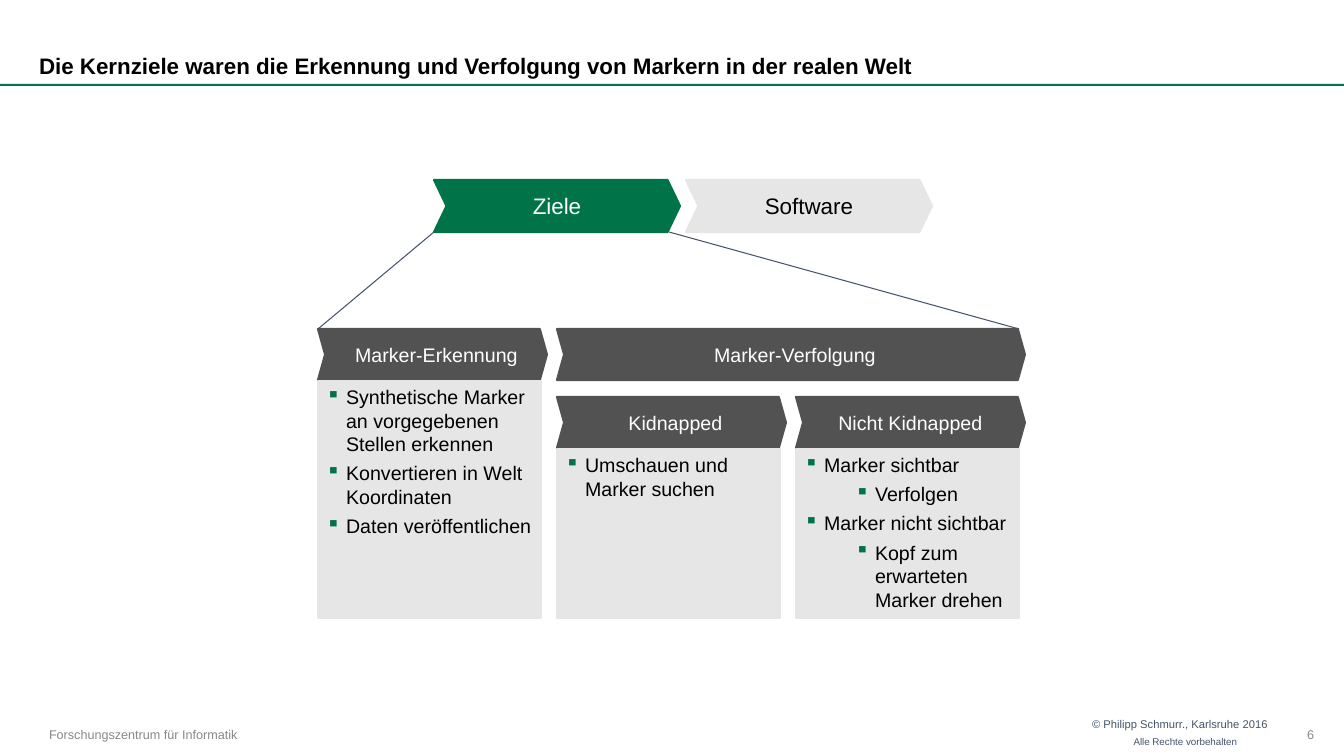
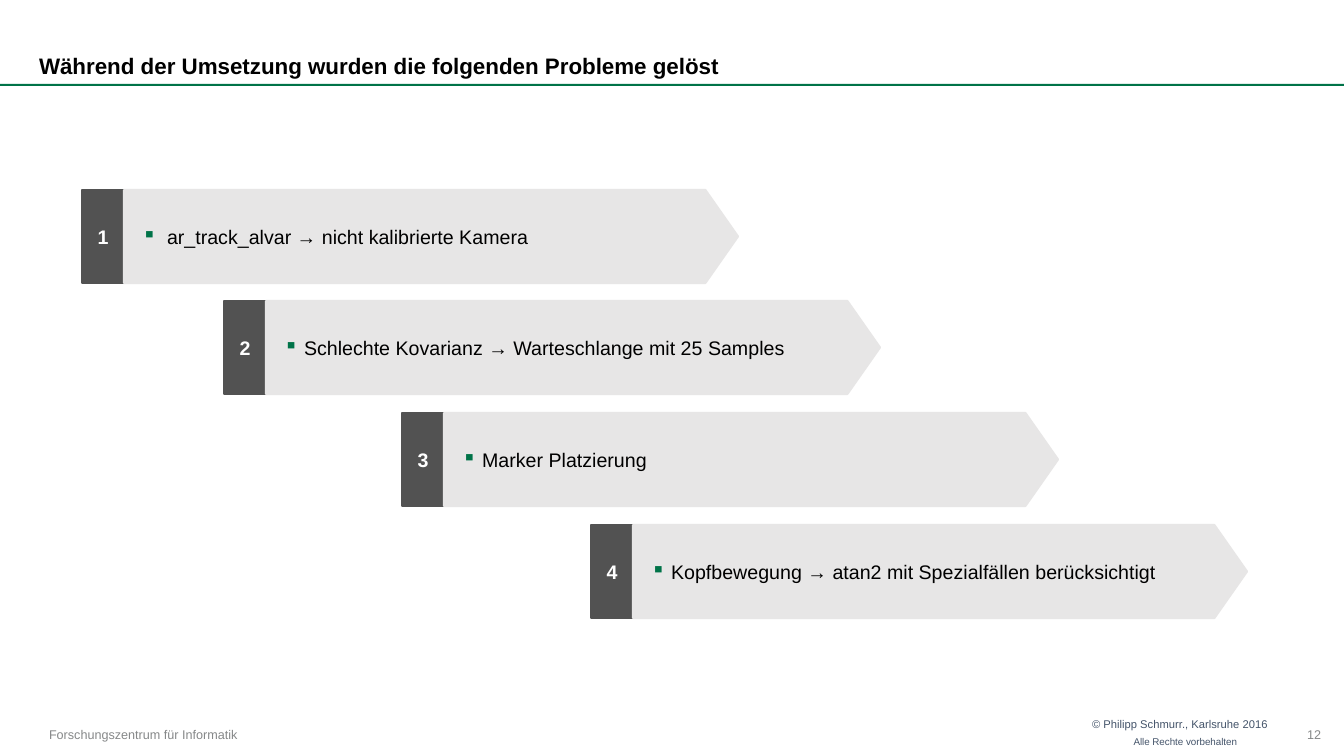
from pptx import Presentation
from pptx.dml.color import RGBColor
from pptx.enum.shapes import MSO_CONNECTOR, MSO_SHAPE as SHAPE
from pptx.enum.text import MSO_ANCHOR as ANCHOR, MSO_AUTO_SIZE, PP_ALIGN as ALIGN
from pptx.oxml.xmlchemy import OxmlElement
from pptx.util import Pt

PX = 9071
GREEN, DARK, LIGHT, NAVY = "007348", "525252", "E7E6E6", "44546A"
BLACK, WHITE, GREY = "000000", "FFFFFF", "868889"


def rgb(value):
    return RGBColor.from_string(value)


def write(s, text, size=14, color=BLACK, bold=False, align=ALIGN.LEFT, anchor=ANCHOR.MIDDLE,
          insets=(10, 5, 10, 5), wrap=True, spacing=None, bullet_indent=None):
    tf = s.text_frame
    tf.auto_size = MSO_AUTO_SIZE.NONE
    tf.word_wrap = wrap
    tf.vertical_anchor = anchor
    tf.margin_left, tf.margin_top, tf.margin_right, tf.margin_bottom = [n * PX for n in insets]
    items = [(0, text)] if isinstance(text, str) else text
    for i, (level, line) in enumerate(items):
        p = tf.add_paragraph() if i else tf.paragraphs[0]
        p.level = level
        p.alignment = align
        if spacing:
            p.line_spacing = spacing
        if bullet_indent:
            pPr = p._p.get_or_add_pPr()
            pPr.set("marL", str((bullet_indent + 51 * level) * PX))
            pPr.set("indent", str((8 - bullet_indent) * PX))
            clr, char = OxmlElement("a:buClr"), OxmlElement("a:buChar")
            srgb = OxmlElement("a:srgbClr")
            srgb.set("val", GREEN)
            clr.append(srgb)
            char.set("char", "▪")
            pPr.extend([clr, char])
            p.space_after = Pt(2)
            if i:
                p.space_before = Pt(2)
        r = p.add_run()
        r.text = line
        r.font.name, r.font.size, r.font.bold = "Arial", Pt(size), bold
        r.font.color.rgb = rgb(color)


prs = Presentation()
prs.slide_width, prs.slide_height = 1344 * PX, 756 * PX

titles = [
    ("Die Kernziele waren die Erkennung und Verfolgung von Markern in der realen Welt", "6"),
    ("Während der Umsetzung wurden die folgenden Probleme gelöst", "12"),
]
for title, number in titles:
    slide = prs.slides.add_slide(prs.slide_layouts[5])
    s = slide.shapes.title
    s.left, s.top, s.width, s.height = 0, 0, 1106 * PX, 84 * PX
    write(s, title, size=16, bold=True, anchor=ANCHOR.BOTTOM, insets=(39, 5, 10, 5), spacing=0.9)

    rule = slide.shapes.add_shape(SHAPE.RECTANGLE, 0, 84 * PX, 1344 * PX, 2 * PX)
    rule.shadow.inherit = False
    rule.fill.solid()
    rule.fill.fore_color.rgb = rgb(GREEN)
    rule.line.fill.background()

    footers = [
        (1080, 712, 198, 44, "© Philipp Schmurr., Karlsruhe 2016", 8, NAVY, ALIGN.RIGHT, ANCHOR.TOP),
        (1111, 731, 136, 25, "Alle Rechte vorbehalten", 7, NAVY, ALIGN.RIGHT, ANCHOR.TOP),
        (39, 713, 215, 43, "Forschungszentrum für Informatik", 9, GREY, ALIGN.LEFT, ANCHOR.MIDDLE),
        (1297, 712, 46, 44, number, 9, GREY, ALIGN.LEFT, ANCHOR.MIDDLE),
    ]
    for x, y, w, h, text, size, color, align, anchor in footers:
        s = slide.shapes.add_textbox(x * PX, y * PX, w * PX, h * PX)
        write(s, text, size=size, color=color, align=align, anchor=anchor)

goals, problems = prs.slides

for x1, x2 in [(434, 318), (669, 1019)]:
    s = goals.shapes.add_connector(MSO_CONNECTOR.STRAIGHT, x1 * PX, 232 * PX, x2 * PX, 329 * PX)
    s.line.color.rgb = rgb(NAVY)
    s.line.width = Pt(0.75)
    s._element.spPr.append(OxmlElement("a:effectLst"))

cols = [318 + 239 * i for i in range(3)]
head = dict(color=WHITE, align=ALIGN.CENTER, insets=(18, 5, 10, 5))
centred = dict(color=WHITE, align=ALIGN.CENTER)
body = dict(anchor=ANCHOR.TOP, insets=(0, 4, 0, 4), bullet_indent=28)
recognition = [(0, "Synthetische Marker an vorgegebenen Stellen erkennen"),
               (0, "Konvertieren in Welt Koordinaten"),
               (0, "Daten veröffentlichen")]
tracking = [(0, "Marker sichtbar"), (1, "Verfolgen"),
            (0, "Marker nicht sichtbar"), (1, "Kopf zum erwarteten Marker drehen")]

blocks = [
    (goals, SHAPE.CHEVRON, 434, 180, 246, 52, 0.24, GREEN, "Ziele", dict(centred, size=16)),
    (goals, SHAPE.CHEVRON, 686, 180, 246, 52, 0.24, LIGHT, "Software",
     dict(size=16, align=ALIGN.CENTER)),
    (goals, SHAPE.CHEVRON, cols[0], 329, 229, 51, 0.14, DARK, "Marker-Erkennung", head),
    (goals, SHAPE.CHEVRON, cols[1], 329, 468, 51, 0.14, DARK, "Marker-Verfolgung", head),
    (goals, SHAPE.CHEVRON, cols[1], 397, 229, 51, 0.14, DARK, "Kidnapped", head),
    (goals, SHAPE.CHEVRON, cols[2], 397, 229, 51, 0.14, DARK, "Nicht Kidnapped", centred),
    (goals, SHAPE.RECTANGLE, cols[0], 381, 223, 237, None, LIGHT, recognition, body),
    (goals, SHAPE.RECTANGLE, cols[1], 449, 223, 169, None, LIGHT, "Umschauen und Marker suchen", body),
    (goals, SHAPE.RECTANGLE, cols[2], 449, 223, 169, None, LIGHT, tracking, body),
]

steps = [
    (82, "ar_track_alvar → nicht kalibrierte Kamera", 33),
    (224, "Schlechte Kovarianz → Warteschlange mit 25 Samples", 28),
    (402, "Marker Platzierung", 28),
    (591, "Kopfbewegung → atan2 mit Spezialfällen berücksichtigt", 28),
]
for i, (x, text, indent) in enumerate(steps):
    y = 190 + 335 * i // 3
    blocks += [
        (problems, SHAPE.RECTANGLE, x, y, 42, 93, None, DARK, str(i + 1),
         dict(centred, bold=True, wrap=False)),
        (problems, SHAPE.PENTAGON, x + 42, y, 614, 93, 0.35, LIGHT, text, dict(bullet_indent=indent)),
    ]

for slide, kind, x, y, w, h, adj, fill, text, style in blocks:
    s = slide.shapes.add_shape(kind, x * PX, y * PX, w * PX, h * PX)
    s.shadow.inherit = False
    if adj:
        s.adjustments[0] = adj
    s.fill.solid()
    s.fill.fore_color.rgb = rgb(fill)
    s.line.color.rgb = rgb(fill)
    s.line.width = Pt(1.5)
    write(s, text, **style)

prs.save("out.pptx")
